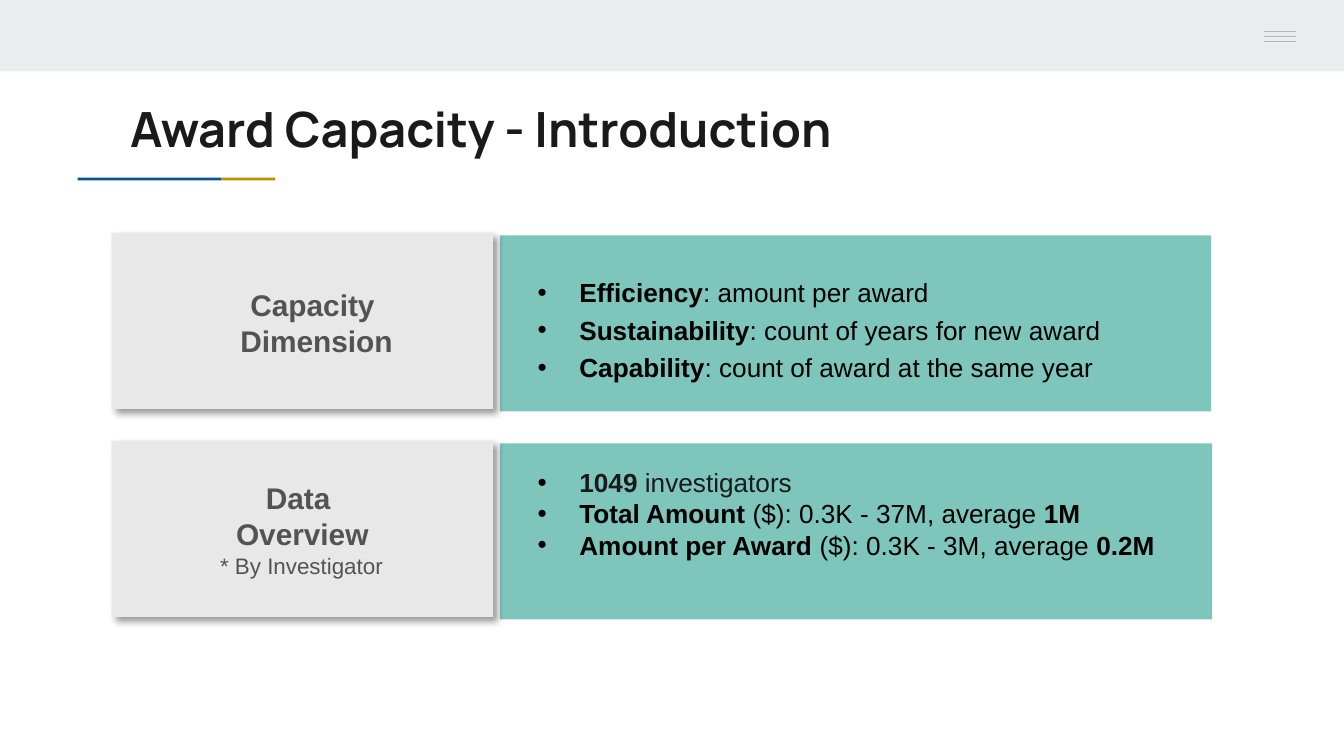
from lxml import etree
from pptx import Presentation
from pptx.dml.color import RGBColor
from pptx.enum.shapes import MSO_CONNECTOR, MSO_SHAPE
from pptx.enum.text import MSO_ANCHOR, PP_ALIGN
from pptx.oxml.ns import qn
from pptx.util import Cm, Pt

RECT, LINE = MSO_SHAPE.RECTANGLE, MSO_CONNECTOR.STRAIGHT
LEFT, CENTER = PP_ALIGN.LEFT, PP_ALIGN.CENTER
TOP, MIDDLE = MSO_ANCHOR.TOP, MSO_ANCHOR.MIDDLE

COLORS = {
    "bar": "E9EDEE", "menu": "B7B7B7", "blue": "0B5394", "gold": "BF9000",
    "teal": "1A9988", "card": "E8E8E8", "label": "535353",
    "ink": "1A1A1A", "black": "000000",
}
PANEL_ALPHA = 56
CARD_W, ROW_H = 7.21, 3.33
PANEL_DX, PANEL_DY = 7.34, 0.05

# Bullets: runs of (text, bold, colour)
CAPACITY = [
    [("Efficiency", True, "black"), (": amount per award", False, "black")],
    [("Sustainability", True, "black"),
     (": count of years for new award", False, "black")],
    [("Capability", True, "black"),
     (": count of award at the same year", False, "black")],
]
OVERVIEW = [
    [("1049", True, "ink"), (" investigators", False, "ink")],
    [("Total Amount ", True, "black"),
     ("($): 0.3K - 37M, average ", False, "black"), ("1M", True, "black")],
    [("Amount per Award ", True, "black"),
     ("($): 0.3K - 3M, average ", False, "black"), ("0.2M", True, "black")],
]


def rgb(name):
    return RGBColor.from_string(COLORS[name])


def sub(parent, tag, **attrs):
    return etree.SubElement(parent, qn(tag), attrs)


def add_rect(s, x, y, w, h, color):
    sp = s.shapes.add_shape(RECT, Cm(x), Cm(y), Cm(w), Cm(h))
    sp.shadow.inherit = False
    sp.fill.solid()
    sp.fill.fore_color.rgb = rgb(color)
    sp.line.fill.background()
    return sp


def add_text(s, x, y, w, h, paragraphs, size, font="Arial", align=LEFT,
             anchor=TOP, wrap=True, bullets=False, spacing=None):
    tf = s.shapes.add_textbox(Cm(x), Cm(y), Cm(w), Cm(h)).text_frame
    tf.word_wrap = wrap
    tf.vertical_anchor = anchor
    for i, runs in enumerate(paragraphs):
        p = tf.paragraphs[0] if i == 0 else tf.add_paragraph()
        p.alignment = align
        p.line_spacing = spacing
        if bullets:
            add_bullet(p)
        for text, bold, color in runs:
            r = p.add_run()
            r.text = text
            r.font.name, r.font.size, r.font.bold = font, Pt(size), bold
            r.font.color.rgb = rgb(color)


def add_bullet(p):
    pPr = p._p.get_or_add_pPr()
    pPr.set("marL", str(Cm(0.79)))
    pPr.set("indent", str(-Cm(0.79)))
    sub(sub(pPr, "a:buClr"), "a:srgbClr", val=COLORS["black"])
    sub(pPr, "a:buFont", typeface="Arial")
    sub(pPr, "a:buChar", char="•")


def add_shadow(sp):
    effects = sp._element.spPr.find(qn("a:effectLst"))
    shadow = sub(effects, "a:outerShdw", blurRad=str(Pt(4)), dist=str(Pt(3)),
                 dir=str(45 * 60000), algn="tl", rotWithShape="0")
    sub(sub(shadow, "a:srgbClr", val=COLORS["black"]), "a:alpha", val="40000")


def add_top_bar(s, x, y, w, h):
    add_rect(s, x, y, w, h, "bar")
    # Menu icon
    right = x + w - 0.91
    for i in range(3):
        line_y = Cm(y + 0.6 + i * 0.09)
        cn = s.shapes.add_connector(LINE, Cm(right - 0.61), line_y,
                                    Cm(right), line_y)
        cn.line.color.rgb = rgb("menu")
        cn.line.width = Pt(0.75)
        sub(cn._element.spPr, "a:effectLst")


def add_title(s, x, y, w, h, text):
    add_text(s, x, y, w, h, [[(text, True, "ink")]], 26, "Manrope",
             anchor=MIDDLE)
    # Two-colour underline
    rule_x, rule_y = x - 0.74, y + 1.68
    add_rect(s, rule_x, rule_y, 2.71, 0.05, "blue")
    add_rect(s, rule_x + 2.71, rule_y, 1.02, 0.05, "gold")


def add_row(s, x, y, w, h, label, label_box, bullets, bullet_dy,
            spacing=None, note=None):
    # Panel with bullets
    panel_x, panel_y, panel_w = x + PANEL_DX, y + PANEL_DY, w - PANEL_DX
    panel = add_rect(s, panel_x, panel_y, panel_w, h, "teal")
    color = panel._element.spPr.find(qn("a:solidFill"))[0]
    sub(color, "a:alpha", val=str(PANEL_ALPHA * 1000))
    add_text(s, panel_x + 0.46, panel_y + bullet_dy, panel_w - 0.46,
             h - bullet_dy, bullets, 14, bullets=True, spacing=spacing)
    # Card with label
    add_shadow(add_rect(s, x, y, CARD_W, h, "card"))
    dx, dy, label_w = label_box
    add_text(s, x + dx, y + dy, label_w, 1.63,
             [[(line, True, "label")] for line in label], 16,
             align=CENTER, wrap=False)
    if note:
        add_text(s, x + 1.8, y + 1.98, 3.63, 0.76,
                 [[(note, False, "label")]], 12, wrap=False)


def main():
    prs = Presentation()
    prs.slide_width, prs.slide_height = Cm(25.4), Cm(14.29)
    s = prs.slides.add_slide(prs.slide_layouts[6])
    add_top_bar(s, 0, 0, 25.4, 1.35)
    add_title(s, 2.21, 1.68, 21.36, 1.5, "Award Capacity - Introduction")
    add_row(s, 2.11, 4.4, 20.78, ROW_H, ["Capacity ", "Dimension"],
            (2.16, 0.89, 3.43), CAPACITY, 0.53, spacing=1.2)
    add_row(s, 2.11, 8.33, 20.8, ROW_H, ["Data ", "Overview"],
            (2.08, 0.61, 3.05), OVERVIEW, 0.31, note="* By Investigator")
    prs.save("out.pptx")


if __name__ == "__main__":
    main()
